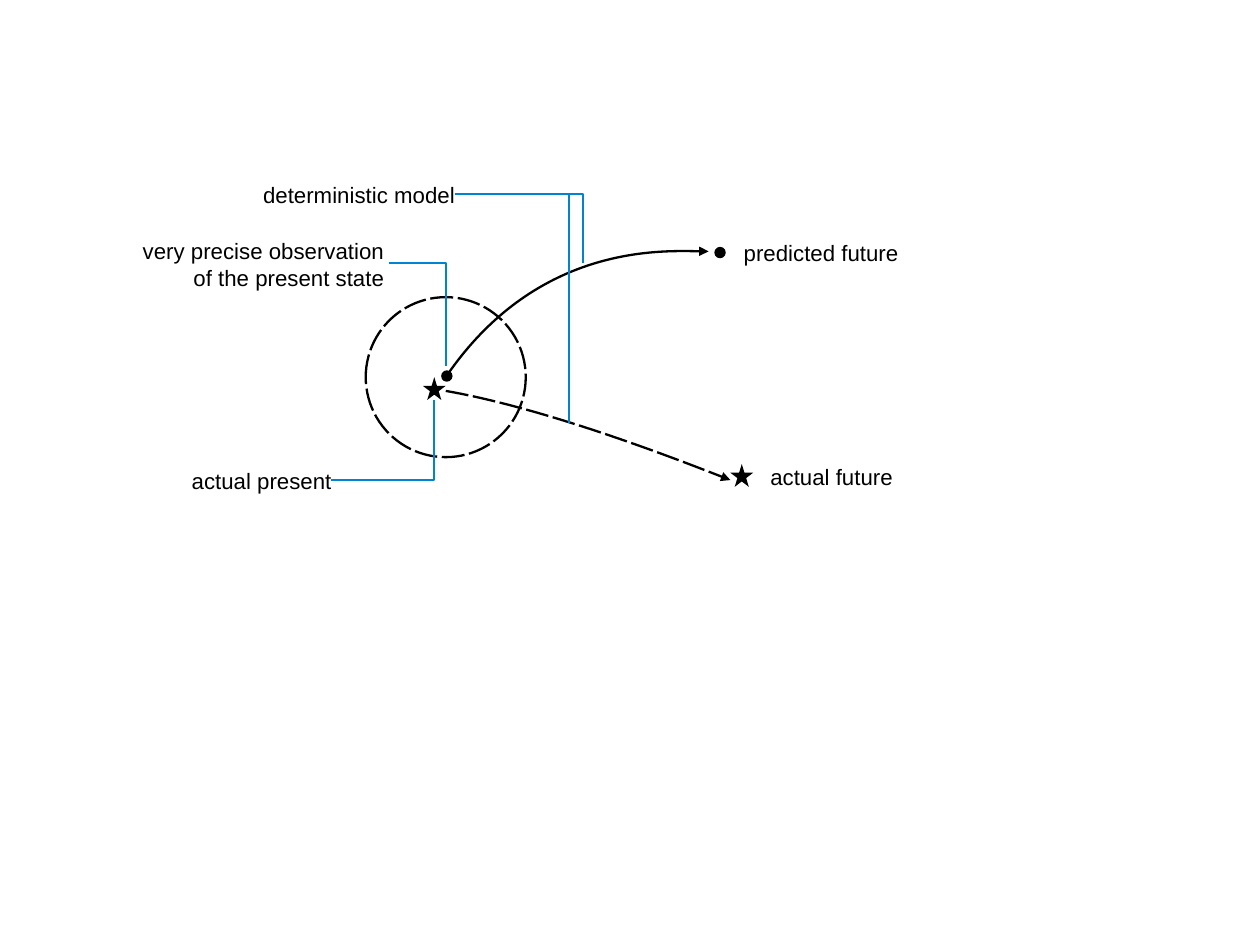
from lxml.etree import SubElement
from pptx import Presentation
from pptx.dml.color import RGBColor
from pptx.enum.shapes import MSO_CONNECTOR, MSO_SHAPE
from pptx.enum.text import MSO_AUTO_SIZE, PP_ALIGN
from pptx.oxml.ns import qn
from pptx.util import Inches, Pt

BLACK = "000000"
BLUE = "0084D1"
CM_PER_INCH = 2.54


def color(hex_string):
    return RGBColor.from_string(hex_string)


def style_line(shape, line_color, dashed=False, arrow=False):
    shape.line.color.rgb = color(line_color)
    shape.line.width = Pt(1.45)
    line = shape.line._get_or_add_ln()
    if dashed:
        dash = SubElement(line, qn("a:custDash"))
        SubElement(dash, qn("a:ds"), d="1000000", sp="200000")
    if arrow:
        SubElement(line, qn("a:tailEnd"), type="triangle")


def add_marker(slide, kind, left, top, size):
    marker = slide.shapes.add_shape(
        kind, Inches(left), Inches(top), Inches(size), Inches(size))
    marker.shadow.inherit = False
    marker.fill.solid()
    marker.fill.fore_color.rgb = color(BLACK)
    marker.line.fill.background()


def add_uncertainty_circle(slide, left, top, size):
    circle = slide.shapes.add_shape(
        MSO_SHAPE.OVAL, Inches(left), Inches(top), Inches(size), Inches(size))
    circle.shadow.inherit = False
    circle.fill.background()
    style_line(circle, BLACK, dashed=True)


def add_path(slide, points):
    start, *others = [(Inches(x), Inches(y)) for x, y in points]
    builder = slide.shapes.build_freeform(*start)
    builder.add_line_segments(others, close=False)
    shape = builder.convert_to_shape()
    shape.shadow.inherit = False
    shape.fill.background()
    return shape


def add_callout(slide, *points):
    style_line(add_path(slide, points), BLUE)


def add_trajectory(slide, start, controls, end, dashed=False):
    shape = add_path(slide, [start, end])
    segment = next(shape._element.iter(qn("a:lnTo")))
    segment.tag = qn("a:cubicBezTo")
    for index, (x, y) in enumerate(controls):
        point = segment.makeelement(qn("a:pt"), {
            "x": str(Inches(x) - shape.left), "y": str(Inches(y) - shape.top)})
        segment.insert(index, point)
    style_line(shape, BLACK, dashed, arrow=True)


def add_straight_callout(slide, start, end):
    connector = slide.shapes.add_connector(
        MSO_CONNECTOR.STRAIGHT, *[Inches(value) for value in start + end])
    style_line(connector, BLUE)
    SubElement(connector._element.spPr, qn("a:effectLst"))


def add_label(slide, text, left, top, width, height=0.32):
    box = slide.shapes.add_textbox(
        Inches(left), Inches(top), Inches(width), Inches(height))
    frame = box.text_frame
    frame.word_wrap = True
    frame.auto_size = MSO_AUTO_SIZE.SHAPE_TO_FIT_TEXT
    frame.text = text
    for paragraph in frame.paragraphs:
        paragraph.alignment = PP_ALIGN.RIGHT
        for run in paragraph.runs:
            run.font.name = "Arial"
            run.font.size = Pt(14)
            run.font.color.rgb = color(BLACK)


def main():
    presentation = Presentation()
    presentation.slide_width = Inches(28 / CM_PER_INCH)
    presentation.slide_height = Inches(21 / CM_PER_INCH)
    slide = presentation.slides.add_slide(presentation.slide_layouts[6])

    add_uncertainty_circle(slide, 3.2, 2.6, 1.4)
    for left, top in [(3.86, 3.24), (6.25, 2.16)]:
        add_marker(slide, MSO_SHAPE.OVAL, left, top, 0.1)

    add_trajectory(slide, (3.9, 3.42), [(4.82, 3.58), (6.39, 4.2)], (6.39, 4.2),
                   dashed=True)
    for left, top in [(3.7, 3.3), (6.39, 4.06)]:
        add_marker(slide, MSO_SHAPE.STAR_5_POINT, left, top, 0.2)

    add_callout(slide, (3.4, 2.3), (3.9, 2.3), (3.9, 3.2))
    add_label(slide, "very precise observation\nof the present state",
              1.05, 2.03, 2.41, 0.54)
    add_label(slide, "actual present", 1.5, 4.04, 1.5)
    add_label(slide, "predicted future", 6.36, 2.04, 1.6)
    add_label(slide, "actual future", 6.59, 4, 1.32)

    add_callout(slide, (3.98, 1.7), (5.1, 1.7), (5.1, 2.3))
    add_trajectory(slide, (3.9, 3.3), [(4.71, 2.11), (6.2, 2.2)], (6.2, 2.2))
    add_label(slide, "deterministic model", 2.18, 1.54, 1.9)
    add_callout(slide, (2.9, 4.2), (3.8, 4.2), (3.8, 3.5))
    add_straight_callout(slide, (4.98, 3.7), (4.98, 1.7))

    presentation.save("out.pptx")


if __name__ == "__main__":
    main()
